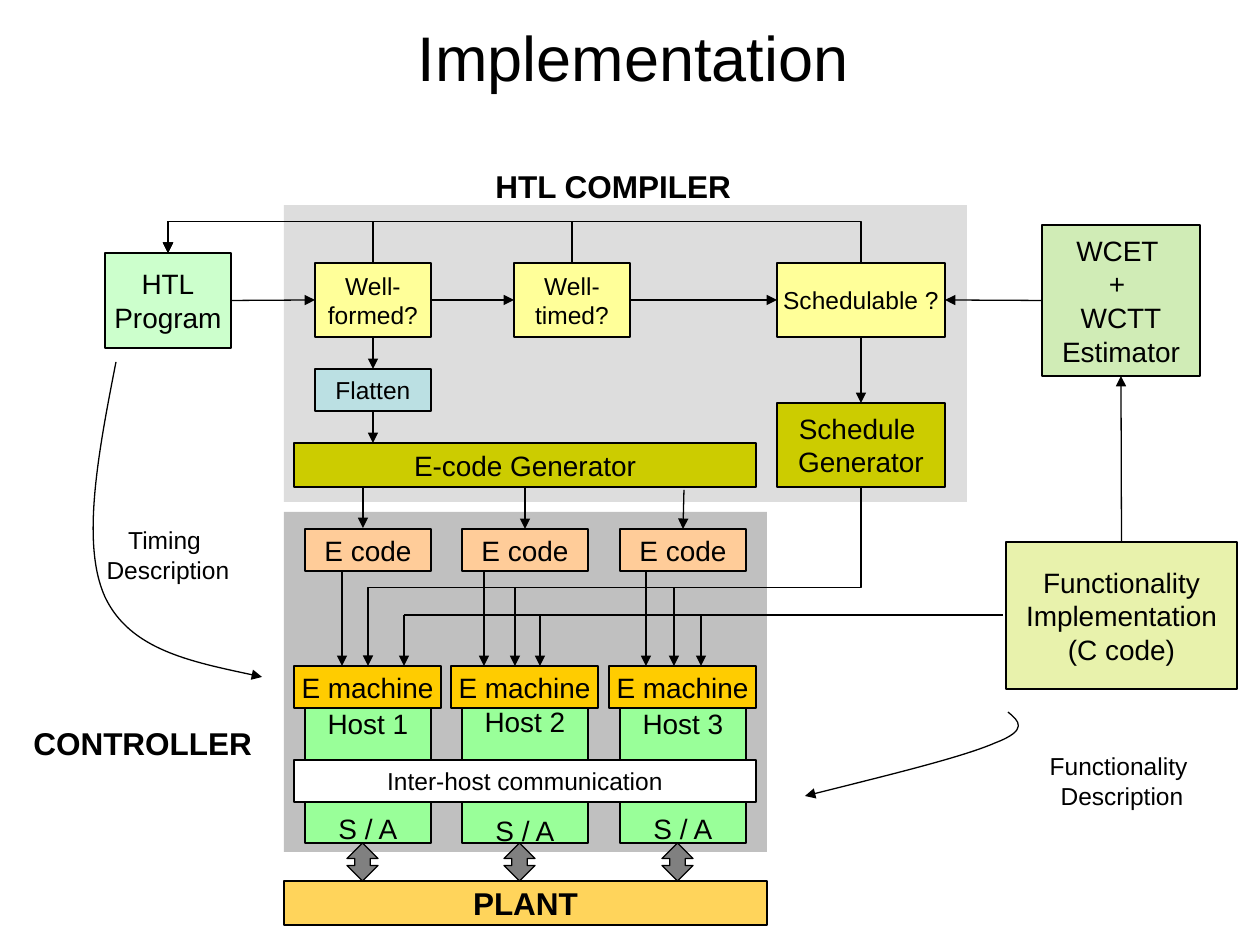
import lxml.etree
import pptx
import pptx.dml.color
import pptx.enum.shapes
import pptx.enum.text
import pptx.oxml.ns
import pptx.util

SCALE = 914400 / 126
KIND = pptx.enum.shapes.MSO_SHAPE
JOIN = pptx.enum.shapes.MSO_CONNECTOR
ALIGN = pptx.enum.text.PP_ALIGN
MID = pptx.enum.text.MSO_ANCHOR.MIDDLE
FIT = pptx.enum.text.MSO_AUTO_SIZE.SHAPE_TO_FIT_TEXT
qn = pptx.oxml.ns.qn

INK = {
    "black": "000000", "white": "FFFFFF", "pale": "DDDDDD", "silver": "C0C0C0",
    "grey": "808080", "mint": "CCFFCC", "leaf": "99FF99", "moss": "D0ECB6",
    "lime": "E8F2AC", "cream": "FFFF99", "olive": "CCCC00", "sky": "BBE0E3",
    "peach": "FFCC99", "gold": "FFCC00", "amber": "FFD45B",
}


def px(n):
    """Turn pixels into EMU."""
    return int(round(n * SCALE))


def rgb(name):
    """Look up a colour by name."""
    return pptx.dml.color.RGBColor.from_string(INK[name])


def shift(i):
    """Give the offset of a host column."""
    return i * 315 // 2


def write(frame, text, size, bold=False, align=ALIGN.CENTER, gap=0):
    """Write each line of text as a paragraph, with a gap between lines."""
    for i, line in enumerate(text.split("\n")):
        para = frame.add_paragraph() if i else frame.paragraphs[0]
        para.alignment = align
        para.space_before = pptx.util.Pt(gap if i else 0)
        run = para.add_run()
        run.text = line
        run.font.name = "Arial"
        run.font.size = pptx.util.Pt(size)
        run.font.bold = bold
        run.font.color.rgb = rgb("black")


def stroke(line):
    """Give a line the common ink and width."""
    line.color.rgb = rgb("black")
    line.width = pptx.util.Pt(0.75)


def point(shape):
    """Put an arrowhead at the end of a line."""
    ln = shape.element.spPr.find(qn("a:ln"))
    lxml.etree.SubElement(ln, qn("a:tailEnd")).set("type", "triangle")


def box(slide, area, fill, text="", size=16, edge=True, kind=KIND.RECTANGLE, **look):
    """Add a filled shape with centred text."""
    shape = slide.shapes.add_shape(kind, *map(px, area))
    shape.shadow.inherit = False
    shape.fill.solid()
    shape.fill.fore_color.rgb = rgb(fill)
    if edge:
        stroke(shape.line)
    else:
        shape.line.fill.background()
    if text:
        shape.text_frame.word_wrap = False
        shape.text_frame.vertical_anchor = MID
        write(shape.text_frame, text, size, **look)
    return shape


def label(slide, area, text, size, **look):
    """Add a free text label that grows with its text."""
    frame = slide.shapes.add_textbox(*map(px, area)).text_frame
    frame.word_wrap = False
    frame.auto_size = FIT
    write(frame, text, size, **look)


def dress(wire, head=True):
    """Style a connector and drop its shadow."""
    stroke(wire.line)
    if head:
        point(wire)
    lxml.etree.SubElement(wire.element.spPr, qn("a:effectLst"))


def spot(end):
    """Find the place of a line end, given as a point or a shape and site."""
    return (0, 0) if hasattr(end[0], "shape_id") else tuple(map(px, end))


def link(slide, start, end, head=True):
    """Draw a straight line between points or shape sites."""
    wire = slide.shapes.add_connector(JOIN.STRAIGHT, *spot(start), *spot(end))
    if hasattr(start[0], "shape_id"):
        wire.begin_connect(*start)
    if hasattr(end[0], "shape_id"):
        wire.end_connect(*end)
    dress(wire, head)


def elbow(slide, start, end, level):
    """Draw a bent arrow to the left that runs level between two rises."""
    (x1, y1), (x2, y2) = start, end
    wide, high = abs(y2 - y1), abs(x2 - x1)
    left, top = (x1 + x2 - wide) / 2, (y1 + y2 - high) / 2
    wire = slide.shapes.add_connector(
        JOIN.ELBOW, px(left), px(top), px(left + wide), px(top + high))
    form = wire.element.spPr.find(qn("a:xfrm"))
    form.set("rot", str((90 if y2 > y1 else 270) * 60000))
    if y2 < y1:
        form.set("flipV", "1")
    guide = lxml.etree.SubElement(wire.element.spPr.find(".//" + qn("a:avLst")), qn("a:gd"))
    guide.set("name", "adj1")
    guide.set("fmla", f"val {round((level - y1) / (y2 - y1) * 100000)}")
    dress(wire)


def curve(slide, start, *knots):
    """Draw a curved arrow, with three knots to each bend."""
    pen = slide.shapes.build_freeform(*start, scale=SCALE)
    pen.add_line_segments(knots, close=False)
    shape = pen.convert_to_shape()
    shape.shadow.inherit = False
    shape.fill.background()
    stroke(shape.line)
    point(shape)
    track = shape.element.spPr.find(".//" + qn("a:path"))
    steps = track.findall(qn("a:lnTo"))
    for i in range(0, len(steps), 3):
        bend = lxml.etree.SubElement(track, qn("a:cubicBezTo"))
        for step in steps[i:i + 3]:
            bend.append(step[0])
            track.remove(step)


def title(slide):
    """Fill the title."""
    head = slide.shapes.title
    head.left, head.top, head.width, head.height = map(px, (66, 0, 1134, 113))
    head.text_frame.vertical_anchor = MID
    write(head.text_frame, "Implementation", 36)


def plant(slide):
    """Draw the hosts and the plant below them."""
    box(slide, (284, 881, 483, 44), "amber", "PLANT", 18, bold=True)
    for i in range(3):
        x = 305 + shift(i)
        arrow = box(slide, (x + 42, 843, 31, 38), "grey", kind=KIND.UP_DOWN_ARROW)
        arrow.adjustments[0] = 0.24
        arrow.adjustments[1] = 0.5
        box(slide, (x, 708, 126, 135), "leaf", f"Host {i + 1}\nS / A",
            gap=43 if i == 1 else 41)
    box(slide, (294, 760, 462, 42), "white", "Inter-host communication", 14)


def build(slide):
    """Draw the compiler and return the code generator."""
    prog = box(slide, (105, 253, 126, 95), "mint", "HTL\nProgram")
    form = box(slide, (315, 263, 116, 74), "cream", "Well-\nformed?", 14)
    time = box(slide, (514, 263, 116, 74), "cream", "Well-\ntimed?", 14)
    plan = box(slide, (777, 263, 168, 74), "cream", "Schedulable ?", 14)
    flat = box(slide, (315, 369, 116, 42), "sky", "Flatten", 14)
    gen = box(slide, (294, 443, 462, 44), "olive", "E-code Generator")
    sched = box(slide, (777, 403, 168, 84), "olive", "Schedule \nGenerator")
    cost = box(slide, (1042, 225, 158, 151), "moss", "WCET \n+ \nWCTT\nEstimator")
    func = box(slide, (1006, 542, 231, 147), "lime",
               "Functionality\nImplementation\n(C code)")
    for a, b in ((prog, form), (form, time), (time, plan)):
        link(slide, (a, 3), (b, 1))
    link(slide, (cost, 1), (plan, 3))
    link(slide, (form, 2), (flat, 0))
    link(slide, (flat, 2), (373, 443))
    link(slide, (plan, 2), (sched, 0))
    link(slide, (func, 0), (cost, 2))
    for x in (373, 572, 861):
        elbow(slide, (x, 263), (168, 253), 222)
    return gen


def run(slide, gen):
    """Draw the code, the machines and the lines that feed them."""
    codes = [box(slide, (305 + shift(i), 529, 126, 42), "peach", "E code")
             for i in range(3)]
    for i in range(3):
        box(slide, (294 + shift(i), 666, 147, 42), "gold", "E machine")
    link(slide, (363, 487), (363, 528))
    link(slide, (gen, 2), (codes[1], 0))
    link(slide, (684, 490), (codes[2], 0))
    elbow(slide, (861, 487), (368, 666), 588)
    link(slide, (1003, 615), (404, 615), False)
    drops = (
        (571, (342, 484, 646)),
        (588, (515, 674)),
        (615, (404, 540, 701)),
    )
    for y, cols in drops:
        for x in cols:
            link(slide, (x, y), (x, 666))


def main():
    """Build the slide."""
    deck = pptx.Presentation()
    deck.slide_width, deck.slide_height = px(1260), px(945)
    slide = deck.slides.add_slide(deck.slide_layouts[5])
    title(slide)
    box(slide, (284, 512, 483, 340), "silver", edge=False)
    box(slide, (284, 205, 683, 297), "pale", edge=False)
    label(slide, (21, 718, 246, 50), "CONTROLLER", 18, bold=True, align=ALIGN.LEFT)
    label(slide, (483, 161, 262, 50), "HTL COMPILER", 18, bold=True, align=ALIGN.LEFT)
    label(slide, (1037, 745, 170, 72), "Functionality \nDescription", 14)
    label(slide, (93, 519, 150, 72), "Timing \nDescription", 14)
    curve(slide, (1008, 712), (1019, 721), (1029, 730), (995, 743),
          (963, 757), (885, 776), (805, 796))
    curve(slide, (116, 362), (98, 454), (81, 544), (105, 597),
          (130, 650), (197, 663), (262, 677))
    plant(slide)
    run(slide, build(slide))
    deck.save("out.pptx")


if __name__ == "__main__":
    main()
